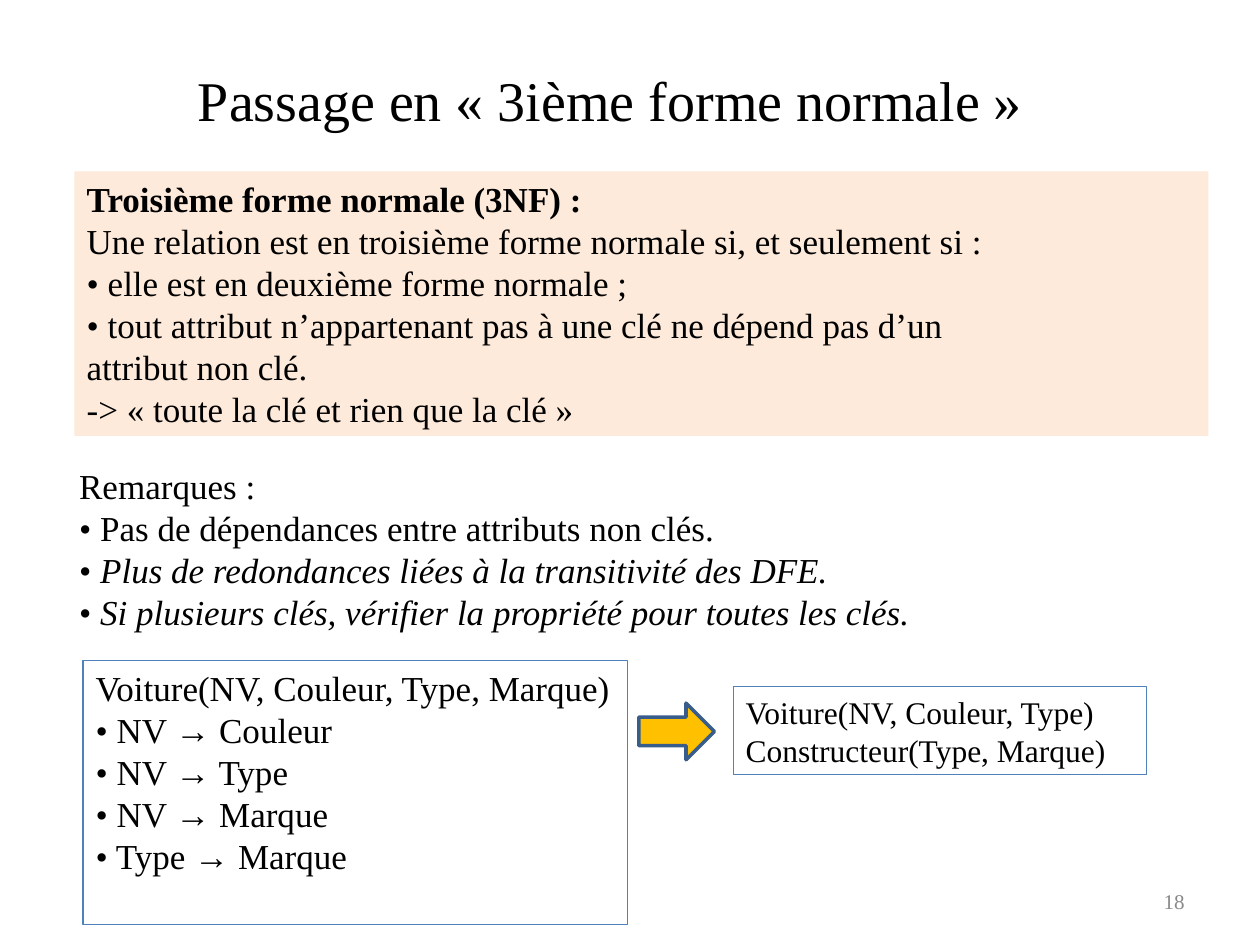
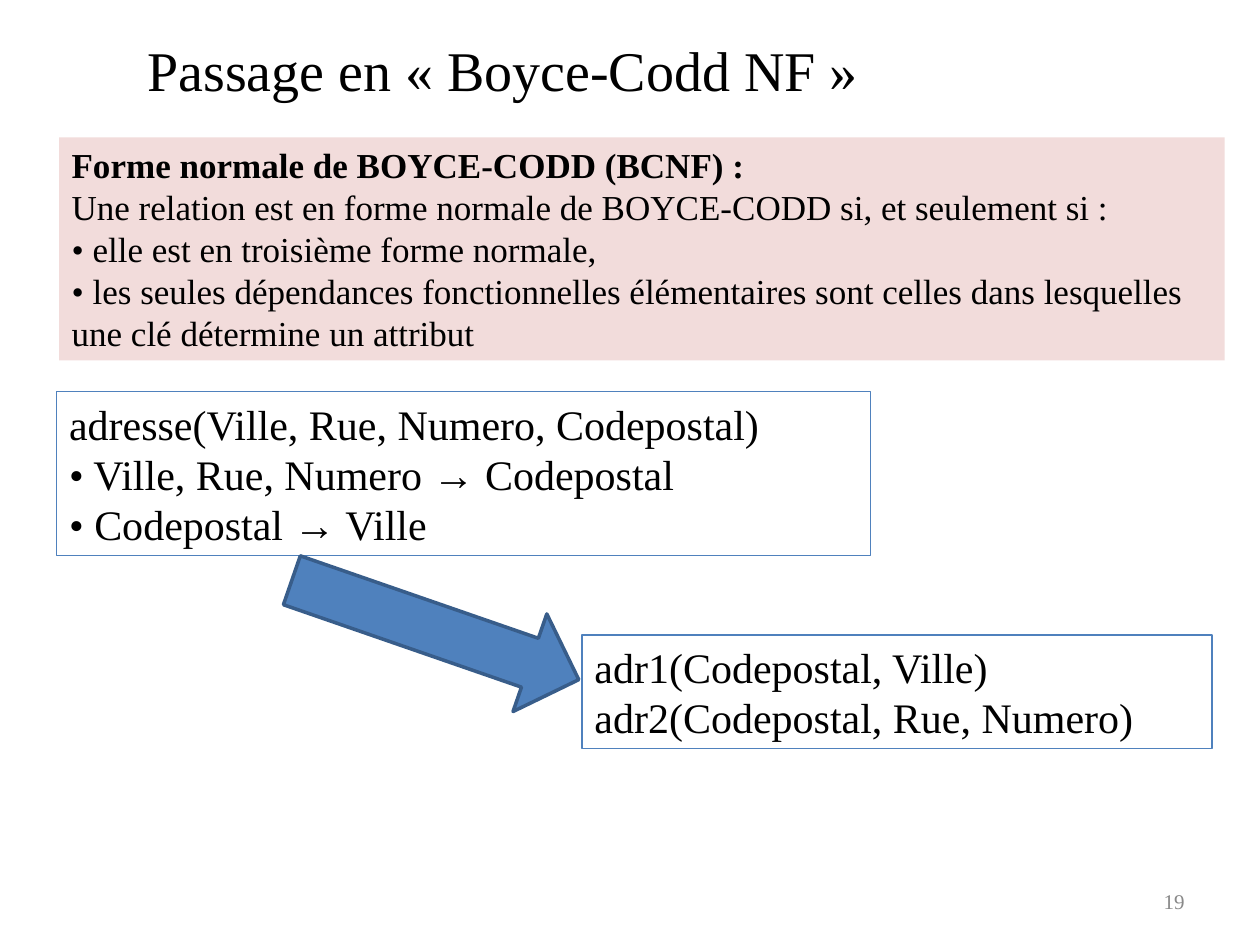
from pptx import Presentation
from pptx.dml.color import RGBColor
from pptx.enum.shapes import MSO_SHAPE
from pptx.enum.text import MSO_ANCHOR, PP_ALIGN
from pptx.util import Inches, Pt

RECTANGLE = MSO_SHAPE.RECTANGLE
RIGHT_ARROW = MSO_SHAPE.RIGHT_ARROW
TOP, MIDDLE = MSO_ANCHOR.TOP, MSO_ANCHOR.MIDDLE
LEFT, CENTER, RIGHT = PP_ALIGN.LEFT, PP_ALIGN.CENTER, PP_ALIGN.RIGHT

FONT = "Times New Roman"
BLACK = "000000"
GREY = "898989"
PEACH = "FDEADA"
PINK = "F2DCDB"
BLUE = "4F81BD"
DARK_BLUE = "385D8A"
GOLD = "FFC000"
BULLET = "• "


def color(hex_code):
    return RGBColor.from_string(hex_code)


def write(shape, lines, size, ink=BLACK, align=LEFT, anchor=TOP):
    """Fill a shape with one left-to-right paragraph per line."""
    text_frame = shape.text_frame
    text_frame.word_wrap = True
    text_frame.vertical_anchor = anchor
    text_frame.text = "\n".join(lines)
    for paragraph in text_frame.paragraphs:
        paragraph.alignment = align
        for run in paragraph.runs:
            run.font.name = FONT
            run.font.size = Pt(size)
            run.font.color.rgb = color(ink)
    return text_frame


def add_text(slide, box, lines, size, **style):
    shape = slide.shapes.add_textbox(*map(Inches, box))
    return write(shape, lines, size, **style)


def add_shape(slide, kind, box, fill=None, line=None, line_width=0.75):
    shape = slide.shapes.add_shape(kind, *map(Inches, box))
    shape.shadow.inherit = False
    if fill:
        shape.fill.solid()
        shape.fill.fore_color.rgb = color(fill)
    else:
        shape.fill.background()
    if line:
        shape.line.color.rgb = color(line)
        shape.line.width = Pt(line_width)
    else:
        shape.line.fill.background()
    return shape


def add_definition(slide, box, fill, lines):
    """Tinted band whose first line is a bold heading."""
    text_frame = write(add_shape(slide, RECTANGLE, box, fill=fill), lines, 20)
    text_frame.paragraphs[0].runs[0].font.bold = True


def add_relations(slide, box, lines, size):
    """Outlined box listing relations and their dependencies."""
    write(add_shape(slide, RECTANGLE, box, line=BLUE), lines, size)


def add_arrow(slide, box, fill, rotation=0):
    arrow = add_shape(slide, RIGHT_ARROW, box, fill, DARK_BLUE, 2)
    arrow.rotation = rotation


def add_remarks(slide, box, heading, plain_remarks, italic_remarks):
    bullets = [BULLET + remark for remark in plain_remarks]
    bullets += [BULLET] * len(italic_remarks)
    text_frame = add_text(slide, box, [heading] + bullets, 20)
    italic_paragraphs = text_frame.paragraphs[-len(italic_remarks):]
    for paragraph, remark in zip(italic_paragraphs, italic_remarks):
        run = paragraph.add_run()
        run.text = remark
        run.font.name = FONT
        run.font.size = Pt(20)
        run.font.color.rgb = color(BLACK)
        run.font.italic = True


def add_slide(presentation, number, title, title_box, title_align):
    slide = presentation.slides.add_slide(presentation.slide_layouts[6])
    add_text(slide, (7.17, 6.95, 2.33, 0.4), [str(number)], 12,
             ink=GREY, align=RIGHT, anchor=MIDDLE)
    add_text(slide, title_box, [title], 32, align=title_align)
    return slide


def build_third_form(presentation):
    slide = add_slide(presentation, 18, "Passage en « 3ième forme normale »",
                      (0.65, 0.47, 8.39, 0.64), CENTER)
    add_definition(slide, (0.59, 1.36, 9, 2.1), PEACH, [
        "Troisième forme normale (3NF) :",
        "Une relation est en troisième forme normale si, et seulement si :",
        "• elle est en deuxième forme normale ;",
        "• tout attribut n’appartenant pas à une clé ne dépend pas d’un",
        "attribut non clé.",
        "-> « toute la clé et rien que la clé »",
    ])
    add_remarks(
        slide, (0.53, 3.64, 9.16, 1.44), "Remarques :",
        ["Pas de dépendances entre attributs non clés."],
        ["Plus de redondances liées à la transitivité des DFE.",
         "Si plusieurs clés, vérifier la propriété pour toutes les clés."])
    add_relations(slide, (0.66, 5.24, 4.32, 2.1), [
        "Voiture(NV, Couleur, Type, Marque)",
        "• NV → Couleur",
        "• NV → Type",
        "• NV → Marque",
        "• Type → Marque",
    ], 20)
    add_relations(slide, (5.82, 5.45, 3.28, 0.7), [
        "Voiture(NV, Couleur, Type)",
        "Constructeur(Type, Marque)",
    ], 18)
    add_arrow(slide, (5.07, 5.58, 0.6, 0.45), GOLD)


def build_boyce_codd(presentation):
    slide = add_slide(presentation, 19, "Passage en « Boyce-Codd NF »",
                      (1.07, 0.23, 7.68, 0.64), LEFT)
    add_definition(slide, (0.47, 1.09, 9.25, 1.77), PINK, [
        "Forme normale de BOYCE-CODD (BCNF) :",
        "Une relation est en forme normale de BOYCE-CODD si, et seulement si :",
        "• elle est en troisième forme normale,",
        "• les seules dépendances fonctionnelles élémentaires sont celles "
        "dans lesquelles une clé détermine un attribut",
    ])
    add_relations(slide, (0.45, 3.11, 6.46, 1.3), [
        "adresse(Ville, Rue, Numero, Codepostal)",
        "• Ville, Rue, Numero → Codepostal",
        "• Codepostal → Ville",
    ], 24)
    add_relations(slide, (4.62, 5.04, 5, 0.9), [
        "adr1(Codepostal, Ville)",
        "adr2(Codepostal, Rue, Numero)",
    ], 24)
    add_arrow(slide, (2.25, 4.59, 2.41, 0.82), BLUE, rotation=19.1)


def main():
    presentation = Presentation()
    presentation.slide_width = Inches(10)
    presentation.slide_height = Inches(7.5)
    build_third_form(presentation)
    build_boyce_codd(presentation)
    presentation.save("out.pptx")


if __name__ == "__main__":
    main()
